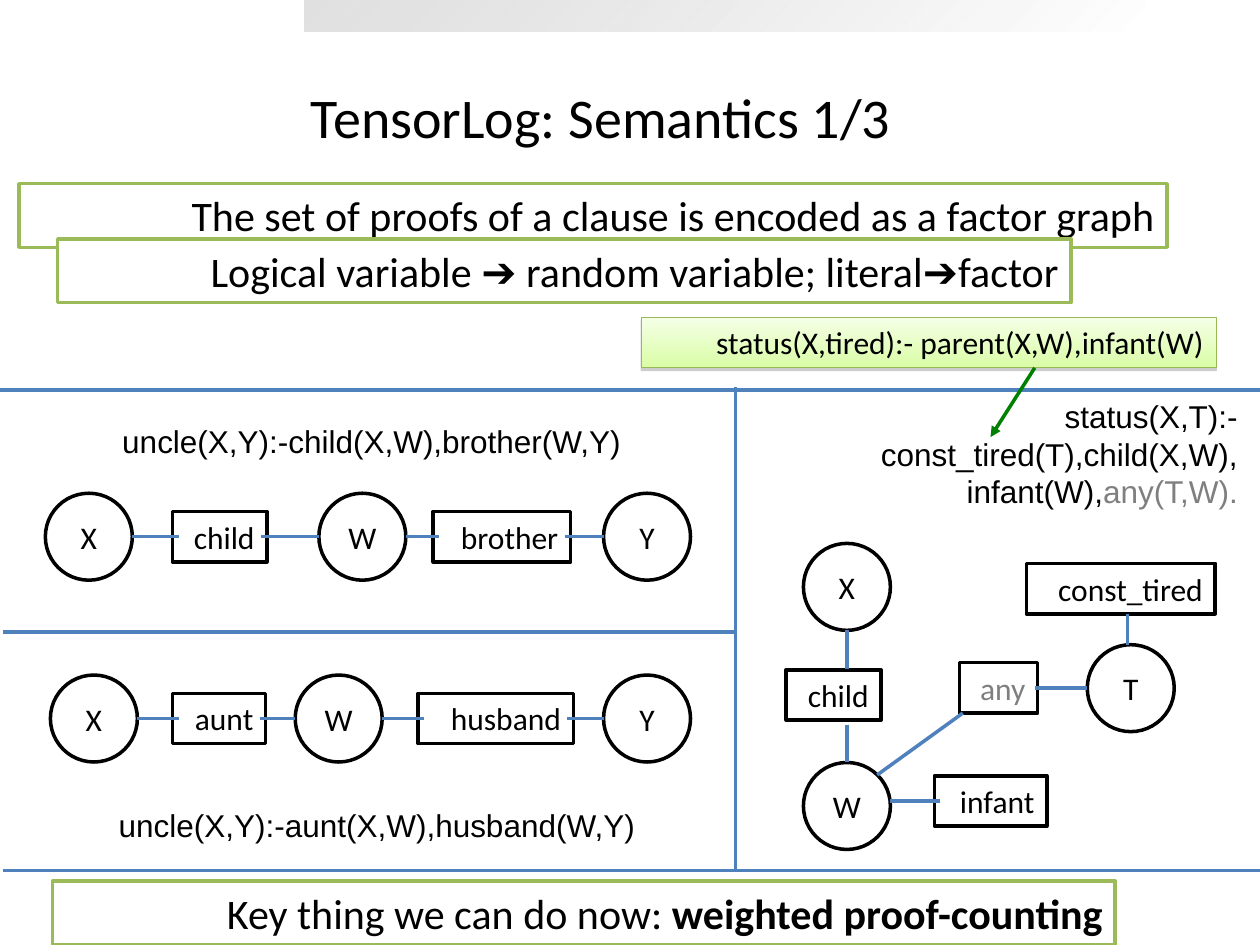
from itertools import pairwise

from lxml import etree
from pptx import Presentation
from pptx.dml.color import RGBColor
from pptx.enum.shapes import MSO_CONNECTOR, MSO_SHAPE as SHAPE
from pptx.enum.text import MSO_ANCHOR as ANCHOR, PP_ALIGN as ALIGN
from pptx.oxml.ns import qn
from pptx.util import Pt

COLORS = {
    "ink": "000000", "white": "FFFFFF", "muted": "7F7F7F", "edge": "4F81BD",
    "banner": "9BBB59", "rule_line": "98B954", "rule_top": "F5FFE6",
    "rule_bottom": "DAFDA7", "arrow": "008000", "silver": "C0C0C0", "shadow": "808080",
}
NODE = 49.7
LABEL_H = 28.8
OVERLAP = 3.5


def rgb(name):
    return RGBColor.from_string(COLORS[name])


def add_xml(parent, tag, **attrs):
    return etree.SubElement(parent, qn(tag), {k: str(v) for k, v in attrs.items()})


def write(shape, text, size=18, font="Calibri", color="ink", align=ALIGN.RIGHT,
          anchor=ANCHOR.TOP, left_inset=0):
    """Text is a string or a list of paragraphs, each a list of (text, format) runs."""
    tf = shape.text_frame
    tf.word_wrap = True
    tf.vertical_anchor = anchor
    tf.margin_left, tf.margin_right = Pt(left_inset), Pt(7.2)
    tf.margin_top = tf.margin_bottom = Pt(3.6)
    paragraphs = [[(text, {})]] if isinstance(text, str) else text
    for i, runs in enumerate(paragraphs):
        p = tf.add_paragraph() if i else tf.paragraphs[0]
        p.alignment = align
        for content, style in runs:
            r = p.add_run()
            r.text = content
            r.font.size = Pt(size)
            r.font.name = style.get("font", font)
            r.font.bold = style.get("bold", False)
            r.font.color.rgb = rgb(style.get("color", color))


class SlideBuilder:
    def __init__(self, slide, line_width=2):
        self.slide = slide
        self.line_width = line_width

    def shape(self, kind, x, y, w, h, fill=None, line=None):
        sp = self.slide.shapes.add_shape(kind, Pt(x), Pt(y), Pt(w), Pt(h))
        sp.shadow.inherit = False
        if fill:
            sp.fill.solid()
            sp.fill.fore_color.rgb = rgb(fill)
        else:
            sp.fill.background()
        if line:
            sp.line.color.rgb = rgb(line)
            sp.line.width = Pt(self.line_width)
        else:
            sp.line.fill.background()
        return sp

    def gradient(self, sp, colors, angle, alphas=()):
        sp.fill.gradient()
        sp.fill.gradient_angle = angle
        for stop, color in zip(sp.fill.gradient_stops, colors):
            stop.color.rgb = rgb(color)
        for clr, alpha in zip(sp._element.spPr.iter(qn("a:srgbClr")), alphas):
            add_xml(clr, "a:alpha", val=alpha * 1000)

    def text(self, text, x, y, w, h, **style):
        box = self.slide.shapes.add_textbox(Pt(x), Pt(y), Pt(w), Pt(h))
        write(box, text, **style)

    def node(self, name, x, y):
        sp = self.shape(SHAPE.OVAL, x, y, NODE, NODE, "white", "ink")
        write(sp, name, align=ALIGN.CENTER, anchor=ANCHOR.MIDDLE, left_inset=7.2)

    def factor(self, name, x, y, w, color="ink"):
        sp = self.shape(SHAPE.RECTANGLE, x, y, w, LABEL_H, "white", "ink")
        write(sp, name, color=color)

    def banner(self, text, x, y, w):
        sp = self.shape(SHAPE.RECTANGLE, x, y, w, 36.4, "white", "banner")
        write(sp, text, size=24)

    def line(self, x1, y1, x2, y2, color="edge", arrow=False):
        ln = self.slide.shapes.add_connector(
            MSO_CONNECTOR.STRAIGHT, Pt(x1), Pt(y1), Pt(x2), Pt(y2))
        ln.line.color.rgb = rgb(color)
        ln.line.width = Pt(self.line_width)
        if arrow:
            add_xml(ln.line._get_or_add_ln(), "a:tailEnd", type="triangle")
        add_xml(ln._element.spPr, "a:effectLst")

    def chain(self, y, nodes, factors):
        """Draw a row of nodes joined through the factors between them."""
        for name, x in nodes:
            self.node(name, x, y - NODE / 2)
        for name, x, w in factors:
            self.factor(name, x, y - LABEL_H / 2, w)
        for ((_, x1), (_, x2)), (_, x, w) in zip(pairwise(nodes), factors):
            self.line(x1 + NODE, y, x + OVERLAP, y)
            self.line(x + w - OVERLAP, y, x2, y)

    def rule_box(self, text, x, y, w):
        sp = self.shape(SHAPE.RECTANGLE, x, y, w, LABEL_H, line="rule_line")
        sp.line.width = Pt(0.75)
        self.gradient(sp, ("rule_top", "rule_bottom"), 270)
        effects = sp._element.spPr.find(qn("a:effectLst"))
        shadow = add_xml(effects, "a:outerShdw", blurRad=0, dist=Pt(1.6),
                         dir=5400000, rotWithShape=0)
        clr = add_xml(shadow, "a:srgbClr", val=COLORS["shadow"])
        add_xml(clr, "a:alpha", val=38000)
        write(sp, text)


def main():
    prs = Presentation()
    prs.slide_width, prs.slide_height = Pt(720), Pt(540)
    s = SlideBuilder(prs.slides.add_slide(prs.slide_layouts[6]))

    bar = s.shape(SHAPE.RECTANGLE, 174, 0, 480, 18)
    s.gradient(bar, ("white", "silver"), 135, (68, 48))
    s.text("TensorLog: Semantics 1/3", 0, 21.6, 687, 90, size=32,
           align=ALIGN.CENTER, anchor=ANCHOR.MIDDLE, left_inset=7.2)

    # Two proofs of uncle(X,Y)
    s.chain(306.7, [("X", 25.9), ("W", 182.2), ("Y", 344.9)],
            [("child", 98.6, 54), ("brother", 247.5, 78.7)])
    s.text("uncle(X,Y):-child(X,W),brother(W,Y)", 58, 237.8, 304, LABEL_H, font="Arial")
    s.chain(410.6, [("X", 28.8), ("W", 168.7), ("Y", 344.9)],
            [("aunt", 98.6, 53.3), ("husband", 239, 88.7)])
    s.text("uncle(X,Y):-aunt(X,W),husband(W,Y)", 56, 456.8, 314, LABEL_H, font="Arial")

    # Proof of status(X,T)
    s.text([[("status(X,T):-", {})],
            [("const_tired(T),child(X,W),", {})],
            [("infant(W),", {}), ("any(T,W).", {"color": "muted"})]],
           424, 223.2, 290.4, 72, font="Arial")
    for name, x, y in [("X", 459.1, 310.5), ("W", 459.1, 435.7), ("T", 621.3, 368.4)]:
        s.node(name, x, y)
    for name, x, y, w, color in [
            ("child", 449.3, 382.8, 54.2, "ink"),
            ("const_tired", 586.5, 322, 108, "ink"),
            ("infant", 534, 443.3, 64.2, "ink"),
            ("any", 548.3, 378.7, 44.7, "muted")]:
        s.factor(name, x, y, w, color)
    for edge in [(484, 360, 484, 382.5), (644.3, 350.8, 644.3, 368.4),
                 (484, 414, 484, 435.7), (508.5, 457.8, 537, 457.8),
                 (621.3, 393, 591.3, 393), (550.2, 407.5, 501.3, 442.8)]:
        s.line(*edge)

    # Panel dividers
    for divider in [(420.3, 221.3, 420.3, 497.5), (1.5, 497.5, 720, 497.5),
                    (1.5, 361.3, 420.3, 361.3), (0, 223, 720, 223)]:
        s.line(*divider)

    s.banner("The set of proofs of a clause is encoded as a factor graph", 10.8, 105, 656)
    s.rule_box("status(X,tired):- parent(X,W),infant(W)", 366.5, 181.3, 328.5)
    s.line(591.3, 210.2, 566, 249.8, "arrow", arrow=True)
    arrow = ("➔", {"font": "Arial"})
    s.banner([[("Logical variable ", {}), arrow, (" random variable; literal", {}),
               arrow, ("factor", {})]], 33, 136.5, 579)
    s.banner([[("Key thing we can do now: ", {}),
               ("weighted proof-counting", {"bold": True})]], 30, 503.5, 607.2)
    prs.save("out.pptx")


if __name__ == "__main__":
    main()
